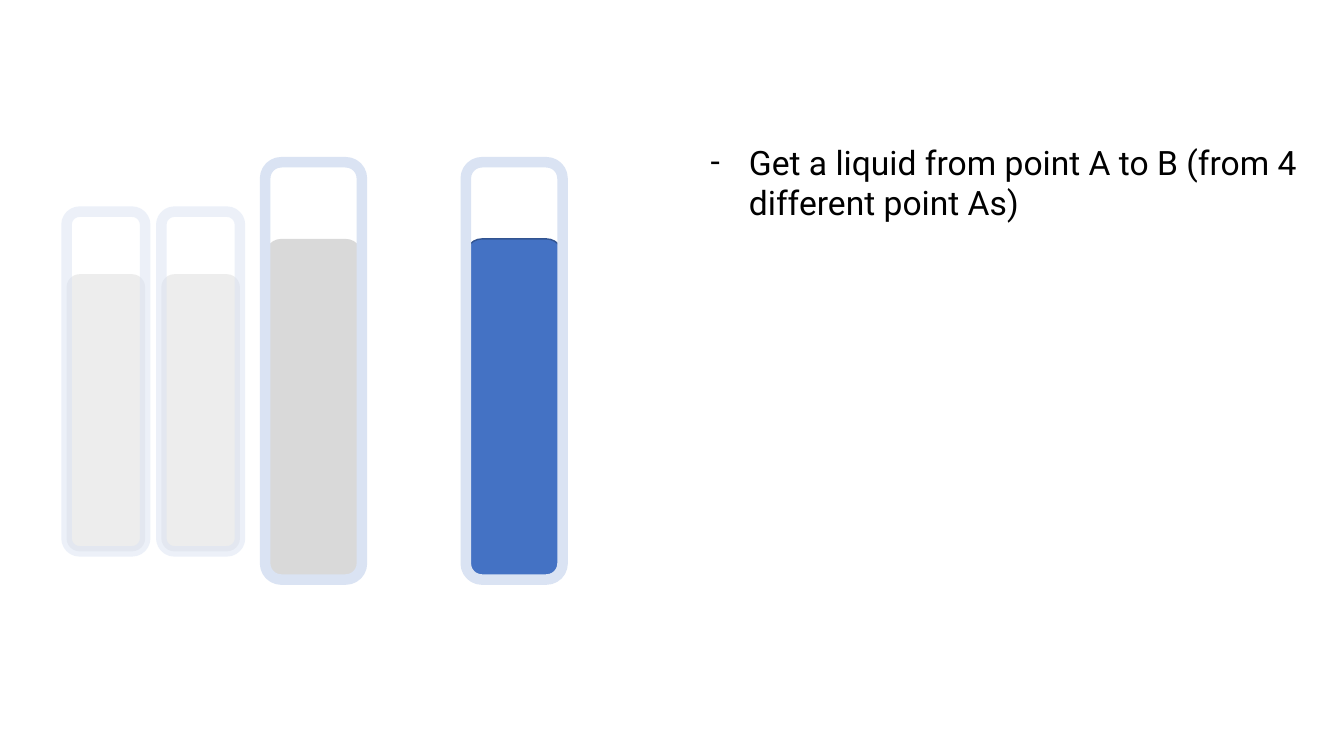
from lxml.etree import SubElement
from pptx import Presentation
from pptx.dml.color import RGBColor
from pptx.enum.shapes import MSO_SHAPE
from pptx.oxml.ns import qn
from pptx.util import Inches, Pt

GOAL = "Get a liquid from point A to B (from 4 different point As)"
GOAL_BOX = (6.95, 1.36, 6.09, 0.91)
GLASS = "DAE3F3"
GREY = "D9D9D9"
BLUE = "4472C4"
NAVY = "325491"

# width, glass top, liquid top, bottom
LARGE = (0.96, 1.61, 2.37, 5.75)
SMALL = (0.78, 2.1, 2.72, 5.47)

# left, size, liquid colour, liquid outline, liquid opacity %, glass opacity %
TUBES = [
    (4.62, LARGE, BLUE, NAVY, 100, 100),
    (2.63, LARGE, GREY, None, 100, 100),
    (1.6, SMALL, GREY, None, 46, 50),
    (0.66, SMALL, GREY, None, 46, 50),
]


def paint(fill, color, opacity=100):
    """Make a fill solid, see-through when opacity (percent) is below 100."""
    fill.solid()
    fill.fore_color.rgb = RGBColor.from_string(color)
    if opacity < 100:
        clr = fill._xPr.find(qn("a:solidFill"))[0]
        SubElement(clr, qn("a:alpha")).set("val", str(opacity * 1000))


def add_round_rect(slide, left, top, width, bottom):
    sp = slide.shapes.add_shape(
        MSO_SHAPE.ROUNDED_RECTANGLE,
        Inches(left), Inches(top), Inches(width), Inches(bottom - top))
    sp.shadow.inherit = False
    return sp


def add_tube(slide, left, size, color, outline, liquid_opacity, glass_opacity):
    width, glass_top, liquid_top, bottom = size

    liquid = add_round_rect(slide, left, liquid_top, width, bottom)
    paint(liquid.fill, color, liquid_opacity)
    if outline:
        liquid.line.width = Pt(1)
        paint(liquid.line.fill, outline)
    else:
        liquid.line.fill.background()

    glass = add_round_rect(slide, left, glass_top, width, bottom)
    glass.fill.background()
    glass.line.width = Pt(7.5)
    paint(glass.line.fill, GLASS, glass_opacity)


def add_goal(slide):
    tf = slide.shapes.add_textbox(*map(Inches, GOAL_BOX)).text_frame
    tf.word_wrap = True
    p = tf.paragraphs[0]
    p.text = GOAL
    font = p.runs[0].font
    font.name = "Roboto"
    font.size = Pt(24)
    font.color.rgb = RGBColor.from_string("000000")
    pPr = p._p.get_or_add_pPr()
    pPr.set("marL", str(Inches(0.38)))
    pPr.set("indent", str(-Inches(0.38)))
    SubElement(pPr, qn("a:buFont")).set("typeface", "Roboto")
    SubElement(pPr, qn("a:buChar")).set("char", "-")


def main():
    prs = Presentation()
    prs.slide_width = Inches(13.33)
    prs.slide_height = Inches(7.5)
    slide = prs.slides.add_slide(prs.slide_layouts[6])
    for tube in TUBES:
        add_tube(slide, *tube)
    add_goal(slide)
    prs.save("out.pptx")


if __name__ == "__main__":
    main()
